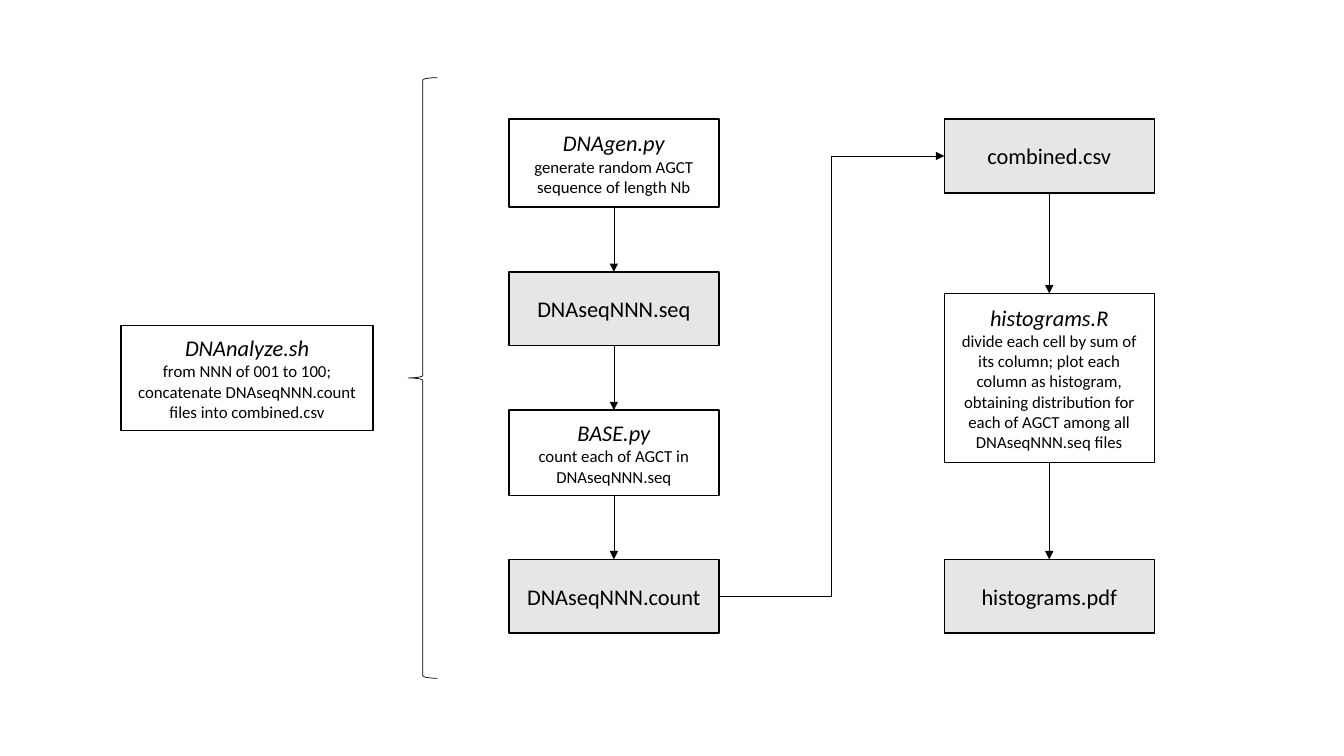
from dataclasses import dataclass

import lxml.etree
import pptx
import pptx.dml.color
import pptx.enum.shapes
import pptx.enum.text
import pptx.oxml.ns
import pptx.util

Pt = pptx.util.Pt
BLACK = "000000"
WHITE = "FFFFFF"
GREY = "E7E6E6"
STEP_LEFT, RESULT_LEFT = 363.5, 674.5
COLUMN_WIDTH = 150
FILE_HEIGHT = 52.8
FIRST_ROW, LAST_ROW = 85, 399.5
TOP, LEFT, BOTTOM, RIGHT = range(4)


@dataclass
class Node:
    name: str
    left: float
    top: float
    width: float = COLUMN_WIDTH
    height: float = FILE_HEIGHT
    details: tuple[str, ...] = ()


NODES = [
    Node("DNAnalyze.sh", 86.5, 232.5, 180, 75,
         ("from NNN of 001 to 100;", "concatenate DNAseqNNN.count files into combined.csv")),
    Node("DNAgen.py", STEP_LEFT, FIRST_ROW, height=62.8,
         details=("generate random AGCT sequence of length Nb",)),
    Node("DNAseqNNN.seq", STEP_LEFT, 194.2),
    Node("BASE.py", STEP_LEFT, 293, height=61,
         details=("count each of AGCT in DNAseqNNN.seq",)),
    Node("DNAseqNNN.count", STEP_LEFT, LAST_ROW),
    Node("combined.csv", RESULT_LEFT, FIRST_ROW),
    Node("histograms.R", RESULT_LEFT, 209.6, height=120.7,
         details=("divide each cell by sum of its column; plot each column as histogram, "
                  "obtaining distribution for each of AGCT among all DNAseqNNN.seq files",)),
    Node("histograms.pdf", RESULT_LEFT, LAST_ROW),
]
DOWNWARD_LINKS = [
    ("DNAgen.py", "DNAseqNNN.seq"),
    ("DNAseqNNN.seq", "BASE.py"),
    ("BASE.py", "DNAseqNNN.count"),
    ("combined.csv", "histograms.R"),
    ("histograms.R", "histograms.pdf"),
]


def color(code: str) -> pptx.dml.color.RGBColor:
    return pptx.dml.color.RGBColor.from_string(code)


def set_line(line, width: float) -> None:
    line.color.rgb = color(BLACK)
    line.width = Pt(width)


def draw_node(shapes, node: Node):
    box = shapes.add_shape(pptx.enum.shapes.MSO_SHAPE.RECTANGLE,
                           Pt(node.left), Pt(node.top), Pt(node.width), Pt(node.height))
    box.shadow.inherit = False
    box.fill.solid()
    box.fill.fore_color.rgb = color(WHITE if node.details else GREY)
    set_line(box.line, 1)
    frame = box.text_frame
    frame.word_wrap = True
    frame.vertical_anchor = pptx.enum.text.MSO_ANCHOR.MIDDLE
    frame.text = "\n".join((node.name, *node.details))
    for index, para in enumerate(frame.paragraphs):
        para.alignment = pptx.enum.text.PP_ALIGN.CENTER
        for span in para.runs:
            span.font.name = "Calibri"
            span.font.size = Pt(12 if index else 16)
            span.font.italic = bool(node.details) and index == 0
            span.font.color.rgb = color(BLACK)
    return box


def draw_arrow(shapes, kind, source, source_site: int, target, target_site: int) -> None:
    arrow = shapes.add_connector(kind, 0, 0, 0, 0)
    arrow.begin_connect(source, source_site)
    arrow.end_connect(target, target_site)
    set_line(arrow.line, 0.5)
    qualify = pptx.oxml.ns.qn
    lxml.etree.SubElement(arrow.line._get_or_add_ln(), qualify("a:tailEnd"), type="triangle")
    lxml.etree.SubElement(arrow._element.spPr, qualify("a:effectLst"))


def draw_brace(shapes) -> None:
    brace = shapes.add_shape(pptx.enum.shapes.MSO_SHAPE.LEFT_BRACE,
                             Pt(291.5), Pt(55.5), Pt(21), Pt(429))
    brace.shadow.inherit = False
    brace.fill.background()
    set_line(brace.line, 0.5)


deck = pptx.Presentation()
deck.slide_width, deck.slide_height = Pt(960), Pt(540)
page = deck.slides.add_slide(deck.slide_layouts.get_by_name("Blank"))
boxes = {node.name: draw_node(page.shapes, node) for node in NODES}
draw_brace(page.shapes)
connector = pptx.enum.shapes.MSO_CONNECTOR
for source_name, target_name in DOWNWARD_LINKS:
    draw_arrow(page.shapes, connector.STRAIGHT, boxes[source_name], BOTTOM, boxes[target_name], TOP)
draw_arrow(page.shapes, connector.ELBOW, boxes["DNAseqNNN.count"], RIGHT, boxes["combined.csv"], LEFT)
deck.save("out.pptx")
